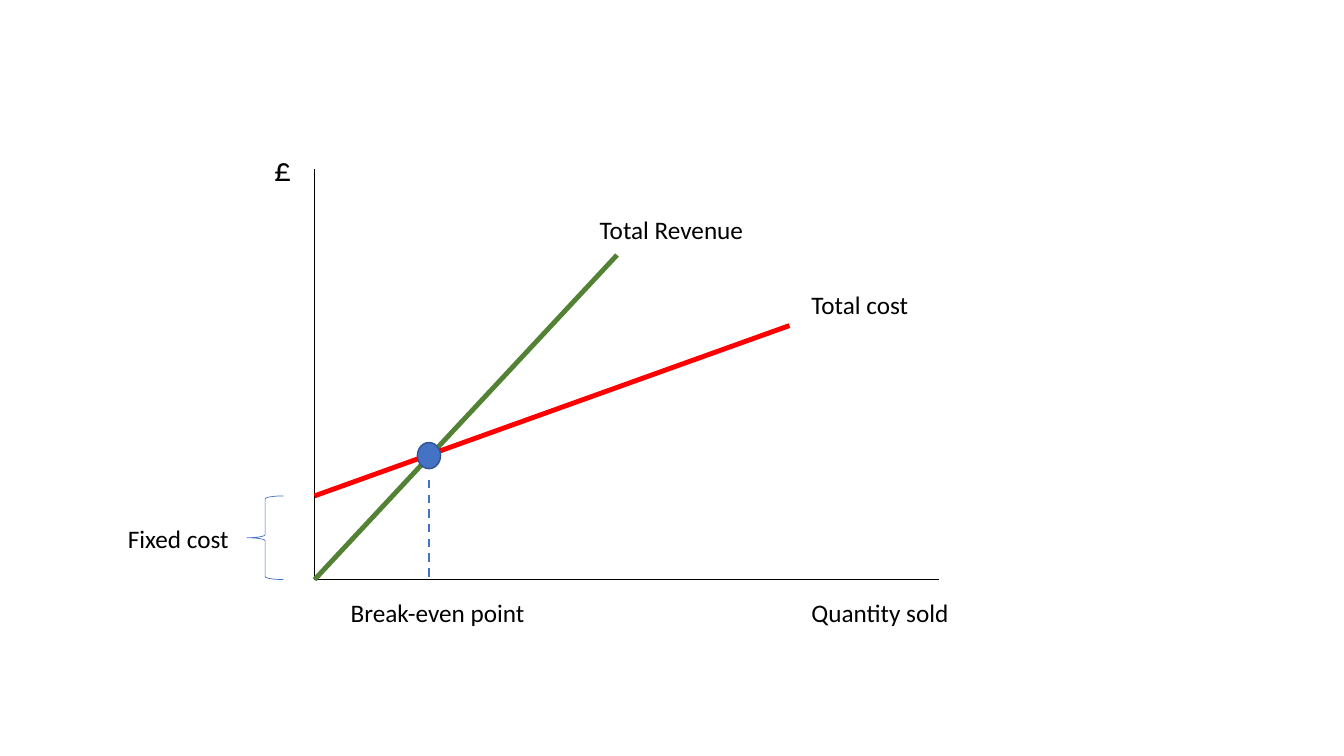
from lxml import etree
from pptx import Presentation
from pptx.dml.color import RGBColor
from pptx.enum.dml import MSO_LINE
from pptx.enum.shapes import MSO_CONNECTOR, MSO_SHAPE
from pptx.enum.text import MSO_AUTO_SIZE
from pptx.oxml.ns import qn
from pptx.util import Inches, Pt

STRAIGHT = MSO_CONNECTOR.STRAIGHT
LEFT_BRACE = MSO_SHAPE.LEFT_BRACE
OVAL = MSO_SHAPE.OVAL
DASH = MSO_LINE.DASH
NO_AUTO_SIZE = MSO_AUTO_SIZE.NONE

COLOURS = {
    "black": "000000",
    "revenue": "548235",
    "cost": "FF0000",
    "accent": "4472C4",
    "accent_edge": "325491",
}
FONT = "Calibri"

# Chart geometry in inches
ORIGIN = (3.12, 5.75)
AXIS_TOP = 1.68
AXIS_RIGHT = 9.31
FIXED_COST_Y = 4.92
BREAK_EVEN = (4.255, 4.52)
MARKER_SIZE = (0.23, 0.26)
BRACE_LEFT, BRACE_WIDTH = 2.45, 0.36

# start, end, colour, width in points, dash
LINES = [
    ((ORIGIN[0], AXIS_TOP), ORIGIN, "black", 0.5, None),
    ((AXIS_RIGHT, ORIGIN[1]), ORIGIN, "black", 0.5, None),
    ((6.12, 2.53), ORIGIN, "revenue", 3.5, None),
    ((7.83, 3.23), (ORIGIN[0], FIXED_COST_Y), "cost", 3.5, None),
    ((BREAK_EVEN[0], 4.76), (BREAK_EVEN[0], ORIGIN[1]), "accent", 1.5, DASH),
]

# text, left, top, width, height, size in points
LABELS = [
    ("£", 2.62, 1.42, 0.37, 0.5, 24),
    ("Quantity sold", 7.95, 5.88, 1.58, 0.4, 18),
    ("Total Revenue", 5.85, 2.08, 1.64, 0.4, 18),
    ("Fixed cost", 1.17, 5.14, 1.21, 0.4, 18),
    ("Total cost", 7.95, 2.82, 1.17, 0.4, 18),
    ("Break-even point", 3.38, 5.88, 1.94, 0.4, 18),
]


def rgb(name):
    return RGBColor.from_string(COLOURS[name])


def style_line(line, colour, width):
    line.color.rgb = rgb(colour)
    line.width = Pt(width)


def add_line(slide, start, end, colour, width, dash):
    connector = slide.shapes.add_connector(
        STRAIGHT, *(Inches(value) for value in (*start, *end)))
    style_line(connector.line, colour, width)
    if dash:
        connector.line.dash_style = dash
    etree.SubElement(connector._element.spPr, qn("a:effectLst"))


def add_label(slide, text, left, top, width, height, size):
    box = slide.shapes.add_textbox(
        *(Inches(value) for value in (left, top, width, height)))
    frame = box.text_frame
    frame.word_wrap = False
    frame.auto_size = NO_AUTO_SIZE
    run = frame.paragraphs[0].add_run()
    run.text = text
    run.font.name = FONT
    run.font.size = Pt(size)
    run.font.color.rgb = rgb("black")


def add_outline(slide, preset, left, top, width, height, colour, line_width):
    shape = slide.shapes.add_shape(
        preset, *(Inches(value) for value in (left, top, width, height)))
    shape.shadow.inherit = False
    style_line(shape.line, colour, line_width)
    return shape


def main():
    deck = Presentation()
    deck.slide_width, deck.slide_height = Inches(13.33), Inches(7.5)
    slide = deck.slides.add_slide(deck.slide_layouts[6])

    for line in LINES:
        add_line(slide, *line)
    for label in LABELS:
        add_label(slide, *label)

    brace = add_outline(slide, LEFT_BRACE, BRACE_LEFT, FIXED_COST_Y,
                        BRACE_WIDTH, ORIGIN[1] - FIXED_COST_Y, "accent", 0.5)
    brace.fill.background()

    width, height = MARKER_SIZE
    marker = add_outline(slide, OVAL, BREAK_EVEN[0] - width / 2,
                         BREAK_EVEN[1] - height / 2, width, height,
                         "accent_edge", 1)
    marker.fill.solid()
    marker.fill.fore_color.rgb = rgb("accent")

    deck.save("out.pptx")


if __name__ == "__main__":
    main()
